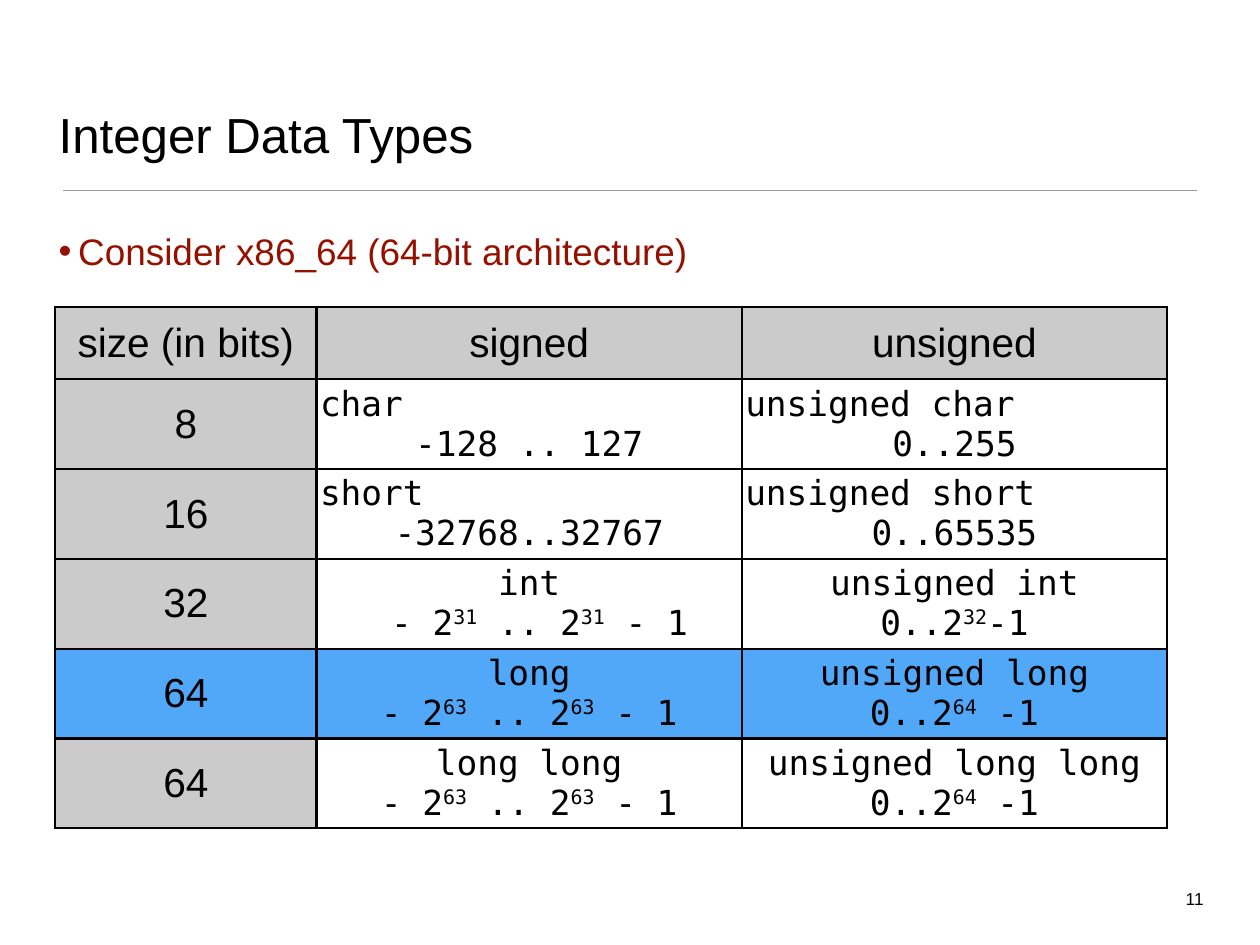
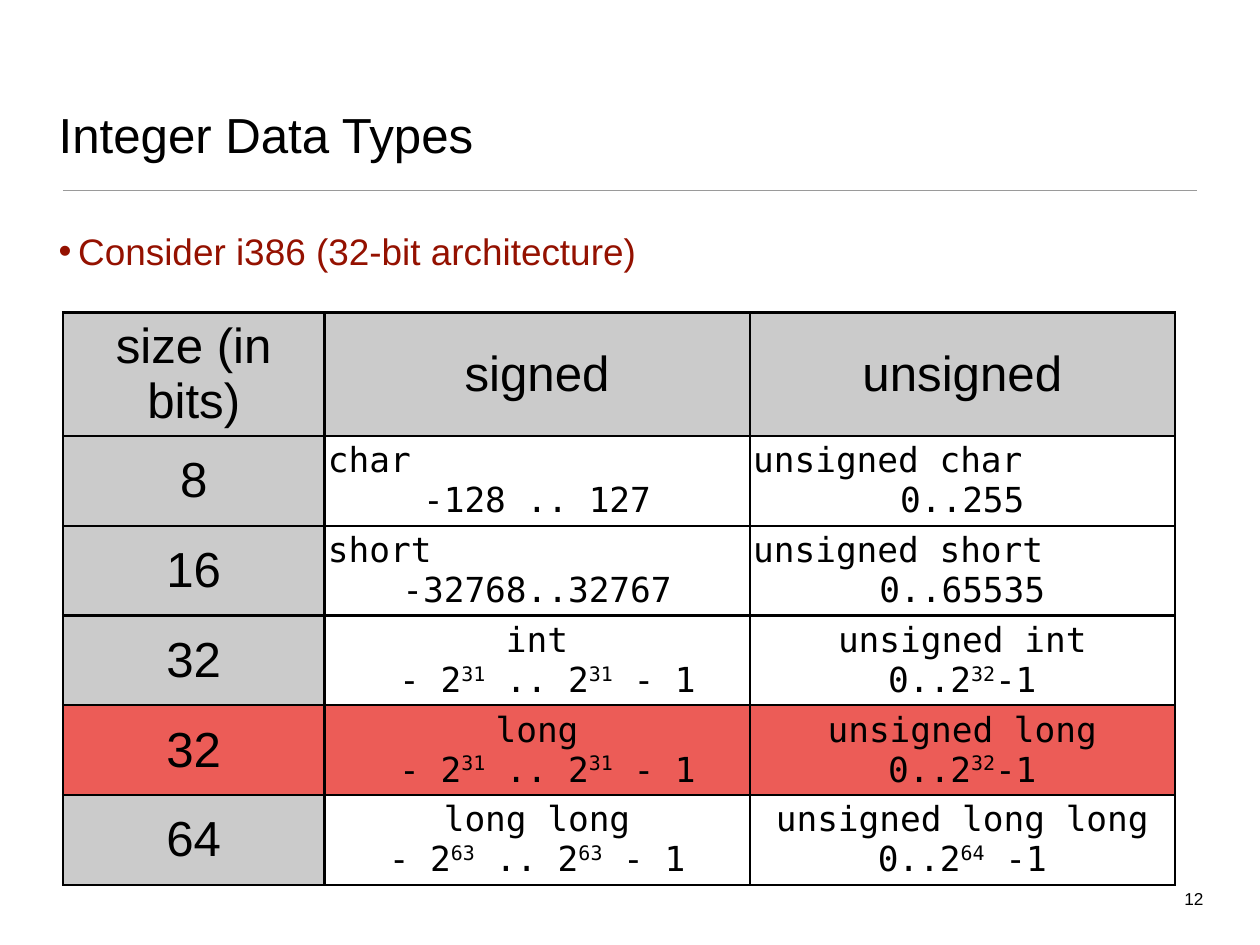
from dataclasses import dataclass

from lxml.etree import SubElement
from pptx import Presentation
from pptx.dml.color import RGBColor
from pptx.enum.shapes import MSO_CONNECTOR
from pptx.enum.text import MSO_ANCHOR, PP_ALIGN
from pptx.oxml import parse_xml
from pptx.oxml.ns import nsdecls, qn
from pptx.slide import Slide
from pptx.table import _Cell
from pptx.text.text import TextFrame, _Paragraph
from pptx.util import Inches, Length, Pt

LEFT, MID, RIGHT = PP_ALIGN.LEFT, PP_ALIGN.CENTER, PP_ALIGN.RIGHT
TOP, CENTER, BASE = MSO_ANCHOR.TOP, MSO_ANCHOR.MIDDLE, MSO_ANCHOR.BOTTOM
STRAIGHT = MSO_CONNECTOR.STRAIGHT

# Colours
BLACK = RGBColor(0x00, 0x00, 0x00)
WHITE = RGBColor(0xFF, 0xFF, 0xFF)
GRAY = RGBColor(0xCB, 0xCB, 0xCB)
RULE = RGBColor(0x9A, 0x9A, 0x9A)
MAROON = RGBColor(0x94, 0x11, 0x00)
BLUE = RGBColor(0x51, 0xA8, 0xF9)
CORAL = RGBColor(0xEC, 0x5C, 0x57)

# Slide grid: 160 columns by 120 rows of square units
WIDTH, HEIGHT = Inches(14.22), Inches(10.67)
COLS = 160


def unit(count: float) -> Length:
    return Length(round(WIDTH * count / COLS))


@dataclass(frozen=True)
class Style:
    font: str
    size: int
    color: RGBColor = BLACK


@dataclass(frozen=True)
class Box:
    left: float
    top: float
    width: float
    height: float


@dataclass(frozen=True)
class Kind:
    bits: int
    name: str
    signed: str
    plain: str
    align: PP_ALIGN = MID


@dataclass(frozen=True)
class Page:
    number: int
    topic: str
    left: float
    top: float
    size: int
    long: Kind
    accent: RGBColor


HEAD = Style("Arial", 40)
POINT = Style("Arial", 30, MAROON)
FOOT = Style("Arial", 14)
CODE = Style("DejaVu Sans Mono", 28)

TITLE_BOX = Box(7, 4, 146, 17.2)
POINT_BOX = Box(7, 28.6, 146, 17.2)
FOOT_BOX = Box(149.8, 112.4, 3.5, 3.4)
TABLE_COLS = (33.2, 54, 54)
ROW = 9.2
PAD = Inches(0.04)

# Integer kinds; carets enclose exponents
SIGN_32, PLAIN_32 = " - 2^31^ .. 2^31^ - 1", "0..2^32^-1"
SIGN_64, PLAIN_64 = "- 2^63^ .. 2^63^ - 1", "0..2^64^ -1"
SMALL = (
    Kind(8, "char", "-128 .. 127", "0..255", LEFT),
    Kind(16, "short", "-32768..32767", "0..65535", LEFT),
    Kind(32, "int", SIGN_32, PLAIN_32),
)
LARGE = Kind(64, "long long", SIGN_64, PLAIN_64)

PAGES = (
    Page(11, "Consider x86_64 (64-bit architecture)", 7, 39, 33,
         Kind(64, "long", SIGN_64, PLAIN_64), BLUE),
    Page(12, "Consider i386 (32-bit architecture)", 8, 39.7, 40,
         Kind(32, "long", SIGN_32, PLAIN_32), CORAL),
)


# Text
def write(par: _Paragraph, text: str, style: Style, align: PP_ALIGN) -> None:
    par.alignment = align
    par.font.name, par.font.size = style.font, Pt(style.size)
    par.font.color.rgb = style.color
    for index, part in enumerate(text.split("^")):
        run = par.add_run()
        run.text = part
        if index % 2:
            run.font._element.set("baseline", "32000")


def add_text(slide: Slide, box: Box, text: str, style: Style, align: PP_ALIGN = LEFT,
             anchor: MSO_ANCHOR = TOP, wrap: bool = True) -> TextFrame:
    shape = slide.shapes.add_textbox(*map(unit, (box.left, box.top, box.width, box.height)))
    frame = shape.text_frame
    frame.word_wrap, frame.vertical_anchor = wrap, anchor
    frame.margin_left = frame.margin_right = PAD
    frame.margin_top = frame.margin_bottom = PAD
    write(frame.paragraphs[0], text, style, align)
    return frame


def add_dot(par: _Paragraph, color: RGBColor) -> None:
    par.space_before = Pt(15)
    props = par._p.get_or_add_pPr()
    props.set("marL", str(Inches(0.22)))
    props.set("indent", str(-Inches(0.22)))
    space = nsdecls("a")
    for xml in (f'<a:buClr {space}><a:srgbClr val="{color}"/></a:buClr>',
                f'<a:buFont {space} typeface="Arial"/>',
                f'<a:buChar {space} char="•"/>'):
        props.find(qn("a:defRPr")).addprevious(parse_xml(xml))


# Table
def fill_cell(cell: _Cell, lines: list[tuple[str, PP_ALIGN]], style: Style,
              color: RGBColor, pad: Length) -> None:
    cell.vertical_anchor = CENTER
    cell.margin_left = cell.margin_right = cell.margin_top = cell.margin_bottom = pad
    props = cell._tc.get_or_add_tcPr()
    for side in ("lnL", "lnR", "lnT", "lnB"):
        edge = SubElement(props, qn(f"a:{side}"), w=str(Pt(2)))
        paint = SubElement(edge, qn("a:solidFill"))
        SubElement(paint, qn("a:srgbClr"), val=str(BLACK))
    cell.fill.solid()
    cell.fill.fore_color.rgb = color
    frame = cell.text_frame
    for index, (text, align) in enumerate(lines):
        par = frame.add_paragraph() if index else frame.paragraphs[0]
        write(par, text, style, align)


def add_kinds(slide: Slide, page: Page) -> None:
    kinds = (*SMALL, page.long, LARGE)
    count = len(kinds) + 1
    table = slide.shapes.add_table(
        count, len(TABLE_COLS), unit(page.left), unit(page.top),
        unit(sum(TABLE_COLS)), unit(ROW * count)).table
    table.first_row = table.horz_banding = False
    for column, width in zip(table.columns, TABLE_COLS):
        column.width = unit(width)
    for row in table.rows:
        row.height = unit(ROW)

    label, thin = Style("Arial", page.size), Inches(0.03)
    for col, text in enumerate(("size (in bits)", "signed", "unsigned")):
        fill_cell(table.cell(0, col), [(text, MID)], label, GRAY, thin)
    for row, kind in enumerate(kinds, 1):
        side, body = (page.accent,) * 2 if kind is page.long else (GRAY, WHITE)
        fill_cell(table.cell(row, 0), [(str(kind.bits), MID)], label, side, thin)
        pairs = ((kind.name, kind.signed), (f"unsigned {kind.name}", kind.plain))
        for col, (name, span) in enumerate(pairs, 1):
            lines = [(name, kind.align), (span, MID)]
            fill_cell(table.cell(row, col), lines, CODE, body, PAD)


# Slide frame
def add_frame(slide: Slide, page: Page) -> None:
    add_text(slide, TITLE_BOX, "Integer Data Types", HEAD, anchor=BASE)
    rule = slide.shapes.add_connector(STRAIGHT, *map(unit, (8, 24.2, 152, 24.2)))
    rule.line.color.rgb, rule.line.width = RULE, Pt(1)
    SubElement(rule._element.spPr, qn("a:effectLst"))
    point = add_text(slide, POINT_BOX, page.topic, POINT)
    add_dot(point.paragraphs[0], POINT.color)
    add_text(slide, FOOT_BOX, str(page.number), FOOT, RIGHT, wrap=False)


deck = Presentation()
deck.slide_width, deck.slide_height = WIDTH, HEIGHT
for page in PAGES:
    slide = deck.slides.add_slide(deck.slide_layouts[6])
    add_frame(slide, page)
    add_kinds(slide, page)
deck.save("out.pptx")
